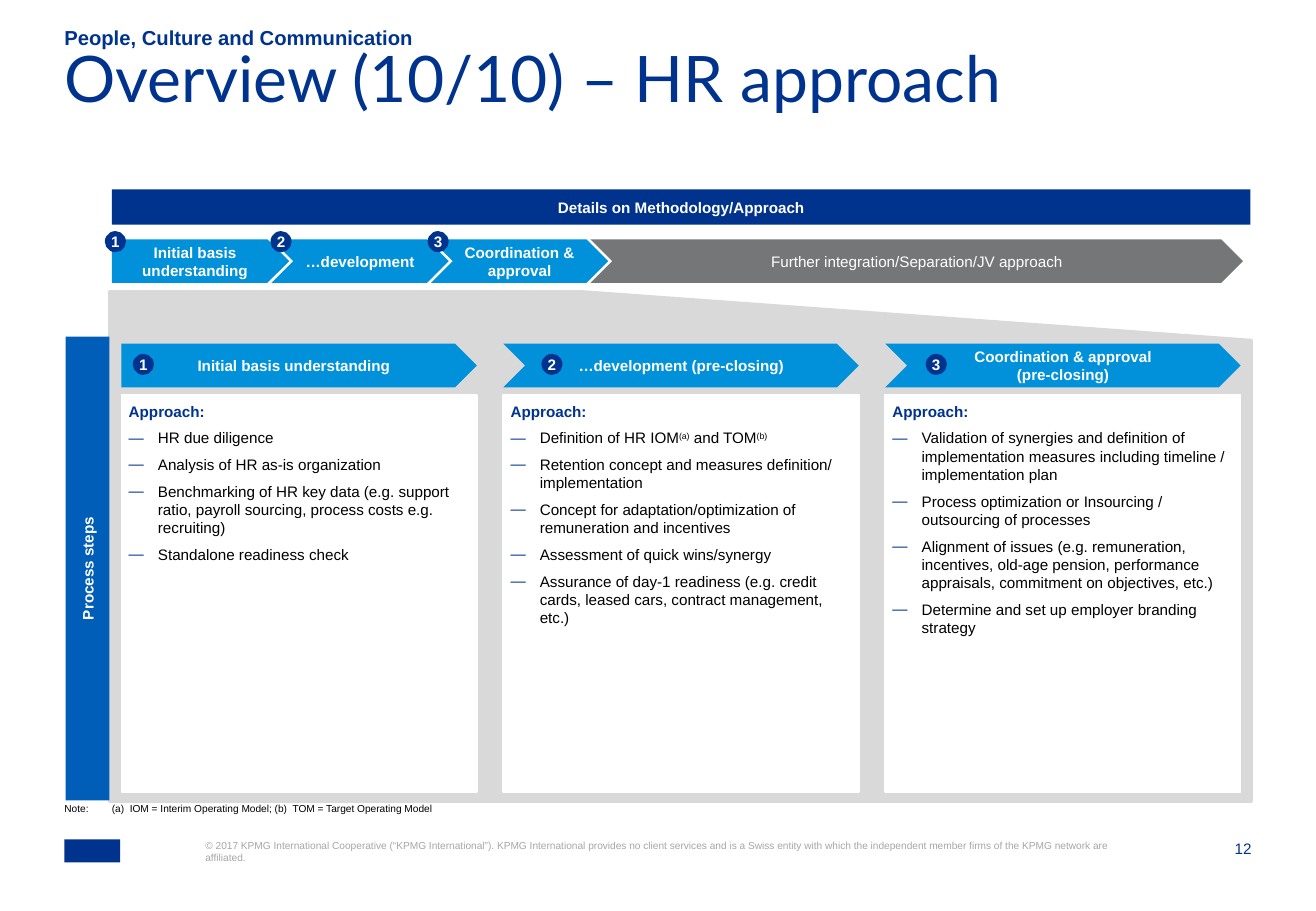
from dataclasses import dataclass

from lxml.etree import SubElement
from pptx import Presentation
from pptx.dml.color import RGBColor
from pptx.enum.shapes import MSO_SHAPE as Preset
from pptx.enum.text import MSO_ANCHOR as Anchor, PP_ALIGN as Align
from pptx.oxml.ns import qn
from pptx.util import Inches, Pt

COLORS = {
    "navy": "00338D", "blue": "005EB8", "sky": "0091DA", "gray": "747678",
    "panel": "D9D9D9", "white": "FFFFFF", "black": "000000", "footer": "A6A6A6",
}
GRID = Inches(0.1)
SLIDE_COLUMNS, SLIDE_ROWS = 108.3, 75
ARROW_ROWS, BADGE_SIZE = 3.6, 1.6
INSET = 0.6

PHASES = [
    ("Initial basis understanding", -0.5),
    ("…development", 0),
    ("Coordination & approval", -0.2),
]
STEPS = [
    ("Initial basis understanding", 1, [
        "HR due diligence",
        "Analysis of HR as-is organization",
        "Benchmarking of HR key data (e.g. support ratio, payroll sourcing, process costs e.g. recruiting)",
        "Standalone readiness check",
    ]),
    ("…development (pre-closing)", 3.2, [
        "Definition of HR IOM|(a)| and TOM|(b)",
        "Retention concept and measures definition/ implementation",
        "Concept for adaptation/optimization of remuneration and incentives",
        "Assessment of quick wins/synergy",
        "Assurance of day-1 readiness (e.g. credit cards, leased cars, contract management, etc.)",
    ]),
    ("Coordination & approval\n(pre-closing)", 3.4, [
        "Validation of synergies and definition of implementation measures including timeline / implementation plan",
        "Process optimization or Insourcing / outsourcing of processes",
        "Alignment of issues (e.g. remuneration, incentives, old-age pension, performance appraisals, commitment on objectives, etc.)",
        "Determine and set up employer branding strategy",
    ]),
]


@dataclass
class Box:
    left: float
    top: float
    width: float
    height: float

    def inner(self, left, top, width, height):
        return Box(self.left + left, self.top + top, width, height)

    def emu(self):
        return [round(length * GRID) for length in (self.left, self.top, self.width, self.height)]


def rgb(name):
    return RGBColor.from_string(COLORS[name])


def write(paragraph, text, size=9, color="white", bold=False, font="Arial", align=Align.LEFT,
          line_spacing=None, space_after=0, hanging=0, bullet=None):
    paragraph.alignment = align
    paragraph.space_after = Pt(space_after)
    if line_spacing:
        paragraph.line_spacing = line_spacing
    if hanging:
        properties = paragraph._p.get_or_add_pPr()
        properties.set("marL", str(round(hanging * GRID)))
        properties.set("indent", str(round(-hanging * GRID)))
        if bullet:
            bullet_color = SubElement(properties, qn("a:buClr"))
            SubElement(bullet_color, qn("a:srgbClr"), val=COLORS["navy"])
            SubElement(properties, qn("a:buFont"), typeface="Arial")
            SubElement(properties, qn("a:buChar"), char=bullet)
    for line_number, line in enumerate(text.split("\n")):
        if line_number:
            paragraph.add_line_break()
        for piece_number, piece in enumerate(line.split("|")):
            run = paragraph.add_run()
            run.text = piece
            run.font.name = font
            run.font.size = Pt(size)
            run.font.bold = bold
            run.font.color.rgb = rgb(color)
            if piece_number % 2:
                run._r.get_or_add_rPr().set("baseline", "30000")


def set_frame(shape, anchor=Anchor.MIDDLE, inset=0, wrap=True):
    frame = shape.text_frame
    frame.word_wrap = wrap
    frame.vertical_anchor = anchor
    frame.margin_left = frame.margin_right = round(inset * GRID)
    frame.margin_top = frame.margin_bottom = round(inset * GRID)
    return frame


def paint(shape, fill, line=None, line_width=1):
    shape.shadow.inherit = False
    shape.fill.solid()
    shape.fill.fore_color.rgb = rgb(fill)
    if line:
        shape.line.color.rgb = rgb(line)
        shape.line.width = Pt(line_width)
    else:
        shape.line.fill.background()


def add_label(slide, box, text, anchor=Anchor.TOP, **style):
    label = slide.shapes.add_textbox(*box.emu())
    write(set_frame(label, anchor).paragraphs[0], text, **style)


def add_block(slide, box, preset, fill, text=None, line=None, wrap=True, bold=True):
    block = slide.shapes.add_shape(preset, *box.emu())
    paint(block, fill, line)
    frame = set_frame(block, wrap=wrap)
    if text:
        write(frame.paragraphs[0], text, bold=bold, align=Align.CENTER)
    return block


def add_badge(slide, box, number):
    add_block(slide, box, Preset.OVAL, "navy", str(number), line="navy", wrap=False)


def arrow_preset(index):
    return Preset.CHEVRON if index else Preset.PENTAGON


def add_header(slide, box):
    add_label(slide, box.inner(0, 2.7, box.width, 7.9), "Overview (10/10) – HR approach",
              size=38, color="navy", font="Lato", line_spacing=0.7)
    add_label(slide, box.inner(0, 0, 94, 1.9), "People, Culture and Communication",
              anchor=Anchor.BOTTOM, size=12, color="navy", bold=True)


def add_panel(slide, box):
    right, bottom = box.left + box.width, box.top + box.height
    builder = slide.shapes.build_freeform(box.left, box.top, scale=GRID)
    builder.add_line_segments([
        (box.left + 39.3, box.top + 0.1), (right - 0.1, box.top + 4.3),
        (right, bottom), (box.left + 0.1, bottom - 0.1),
    ])
    paint(builder.convert_to_shape(), "panel", "panel", 1.5)


def add_phases(slide, box):
    pitch, width = 13.13, 14.6
    add_block(slide, box.inner(0, 0, box.width, 2.9), Preset.RECTANGLE, "navy",
              "Details on Methodology/Approach")
    for index, (name, _) in enumerate(PHASES):
        add_block(slide, box.inner(index * pitch, 4.1, width, ARROW_ROWS),
                  arrow_preset(index), "sky", name)
    add_block(slide, box.inner(len(PHASES) * pitch, 4.1, 53.7, ARROW_ROWS), Preset.CHEVRON, "gray",
              "Further integration/Separation/JV approach", bold=False)
    for index, (_, shift) in enumerate(PHASES):
        add_badge(slide, box.inner(index * pitch + shift, 3.5, BADGE_SIZE, BADGE_SIZE), index + 1)


def add_step(slide, box, index, name, badge_left, tasks):
    add_block(slide, box.inner(0, 0, box.width, ARROW_ROWS), arrow_preset(index), "sky", name)
    add_badge(slide, box.inner(badge_left, 0.9, BADGE_SIZE, BADGE_SIZE), index + 1)
    card = add_block(slide, box.inner(0, 4.2, box.width, box.height - 4.2),
                     Preset.RECTANGLE, "white", line="white")
    frame = set_frame(card, Anchor.TOP, INSET)
    write(frame.paragraphs[0], "Approach:", color="navy", bold=True, space_after=5)
    for task in tasks:
        write(frame.add_paragraph(), task, color="black", space_after=5, hanging=2.4, bullet="—")


def add_steps(slide, box):
    width = 29.25
    pitch = (box.width - width) / (len(STEPS) - 1)
    for index, step in enumerate(STEPS):
        add_step(slide, box.inner(index * pitch, 0, width, box.height), index, *step)


def add_side_bar(slide, box):
    offset = (box.height - box.width) / 2
    bar = add_block(slide, box.inner(-offset, offset, box.height, box.width),
                    Preset.RECTANGLE, "blue", "Process steps")
    bar.rotation = 270


def add_footer(slide, box):
    add_label(slide, box.inner(0, 0, 58.5, 1),
              "Note:\t(a)  IOM = Interim Operating Model; (b)  TOM = Target Operating Model",
              anchor=Anchor.BOTTOM, size=6, color="black", hanging=3.9)
    add_block(slide, box.inner(0, 3, 4.6, 1.9), Preset.RECTANGLE, "navy")
    add_label(slide, box.inner(11.6, 3, 74.9, 4.1),
              "© 2017 KPMG International Cooperative (“KPMG International”). KPMG International provides "
              "no client services and is a Swiss entity with which the independent member firms of the "
              "KPMG network are affiliated.", size=6, color="footer")
    add_label(slide, box.inner(box.width - 4.3, 3, 4.3, 1.6), "12", color="navy", align=Align.RIGHT)


def main():
    presentation = Presentation()
    presentation.slide_width = round(SLIDE_COLUMNS * GRID)
    presentation.slide_height = round(SLIDE_ROWS * GRID)
    slide = presentation.slides.add_slide(presentation.slide_layouts[6])
    add_panel(slide, Box(9.2, 23.7, 93.9, 42.2))
    add_header(slide, Box(5.3, 2.2, 97.6, 10.6))
    add_phases(slide, Box(9.2, 15.6, 93.7, 7.7))
    add_side_bar(slide, Box(5.4, 27.7, 3.6, 38.2))
    add_steps(slide, Box(10, 28.3, 92.1, 36.9))
    add_footer(slide, Box(5.3, 66.1, 97.7, 7.1))
    presentation.save("out.pptx")


if __name__ == "__main__":
    main()
